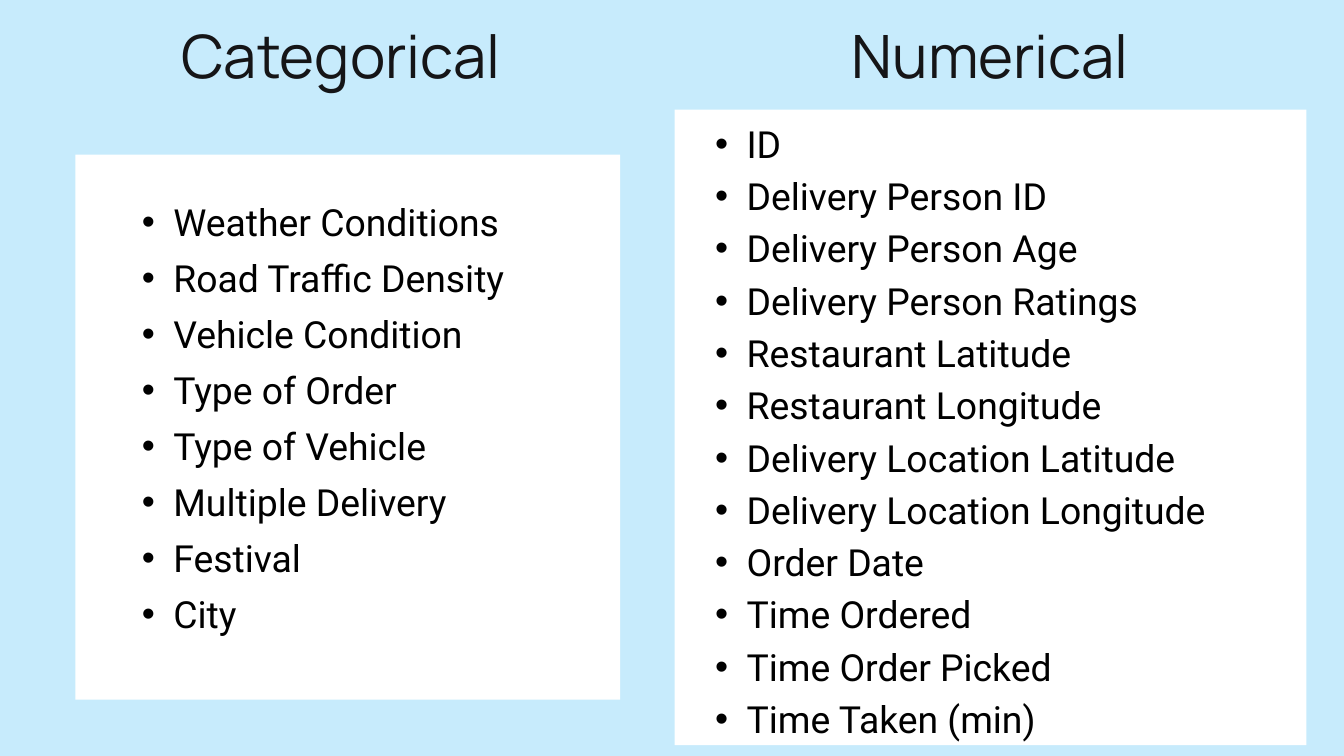
import pptx
import pptx.dml.color
import pptx.enum.shapes
import pptx.enum.text
import pptx.util
from lxml import etree

RGBColor = pptx.dml.color.RGBColor
Pt = pptx.util.Pt

SKY = RGBColor(0xC7, 0xEB, 0xFC)
WHITE = RGBColor(0xFF, 0xFF, 0xFF)
INK = RGBColor(0x15, 0x15, 0x17)
BLACK = RGBColor(0x00, 0x00, 0x00)

# The slide is a grid of 20 columns by 11.25 rows of square cells
COLUMNS, ROWS = 20, 11.25
CELL = pptx.util.Inches(1)
BULLET_INDENT = 0.47

HEADING = {"name": "Manrope", "size": Pt(64)}
BODY = {"name": "Roboto", "size": Pt(40)}

CATEGORICAL = [
    "Weather Conditions", "Road Traffic Density", "Vehicle Condition",
    "Type of Order", "Type of Vehicle", "Multiple Delivery", "Festival", "City",
]
NUMERICAL = [
    "ID", "Delivery Person ID", "Delivery Person Age",
    "Delivery Person Ratings", "Restaurant Latitude", "Restaurant Longitude",
    "Delivery Location Latitude", "Delivery Location Longitude", "Order Date",
    "Time Ordered", "Time Order Picked", "Time Taken (min)",
]


def cells(*counts):
    return [round(n * CELL) for n in counts]


def add_panel(s, box):
    sp = s.shapes.add_shape(pptx.enum.shapes.MSO_SHAPE.RECTANGLE, *cells(*box))
    sp.shadow.inherit = False
    sp.fill.solid()
    sp.fill.fore_color.rgb = WHITE
    sp.line.fill.background()


def add_text_frame(s, box):
    tf = s.shapes.add_textbox(*cells(*box)).text_frame
    frame = {
        "margin_left": 0, "margin_top": 0, "margin_right": 0, "margin_bottom": 0,
        "word_wrap": True,
        "auto_size": pptx.enum.text.MSO_AUTO_SIZE.SHAPE_TO_FIT_TEXT,
    }
    for key, value in frame.items():
        setattr(tf, key, value)
    return tf


def add_run(p, text, font, color):
    r = p.add_run()
    r.text = text
    for key, value in font.items():
        setattr(r.font, key, value)
    r.font.color.rgb = color


def add_heading(s, box, text):
    p = add_text_frame(s, box).paragraphs[0]
    p.alignment = pptx.enum.text.PP_ALIGN.CENTER
    p.line_spacing = Pt(89.6)
    add_run(p, text, HEADING, INK)


def add_bullet(p):
    indent, = cells(BULLET_INDENT)
    p.level = 1
    pPr = p._p.get_or_add_pPr()
    pPr.set("marL", str(2 * indent))
    pPr.set("indent", str(-indent))
    for tag, key, value in (("buFont", "typeface", "Arial"), ("buChar", "char", "•")):
        etree.SubElement(pPr, pptx.oxml.ns.qn(f"a:{tag}")).set(key, value)


def add_bullet_list(s, box, items, spacing):
    tf = add_text_frame(s, box)
    for i, item in enumerate(items):
        p = tf.add_paragraph() if i else tf.paragraphs[0]
        add_bullet(p)
        p.line_spacing = Pt(spacing)
        add_run(p, item, BODY, BLACK)


def main():
    prs = pptx.Presentation()
    prs.slide_width, prs.slide_height = cells(COLUMNS, ROWS)
    s = prs.slides.add_slide(prs.slide_layouts[6])
    s.background.fill.solid()
    s.background.fill.fore_color.rgb = SKY

    # Left: categorical features
    add_panel(s, (1.12, 2.3, 8.11, 8.11))
    add_heading(s, (1.12, 0.1, 7.91, 1.26), "Categorical")
    add_bullet_list(s, (1.64, 2.8, 7.08, 6.97), CATEGORICAL, 60)

    # Right: numerical features
    add_heading(s, (10.78, 0.1, 7.91, 1.26), "Numerical")
    add_panel(s, (10.04, 1.63, 9.4, 9.46))
    add_bullet_list(s, (10.17, 1.69, 8.22, 9.23), NUMERICAL, 56)

    prs.save("out.pptx")


if __name__ == "__main__":
    main()
